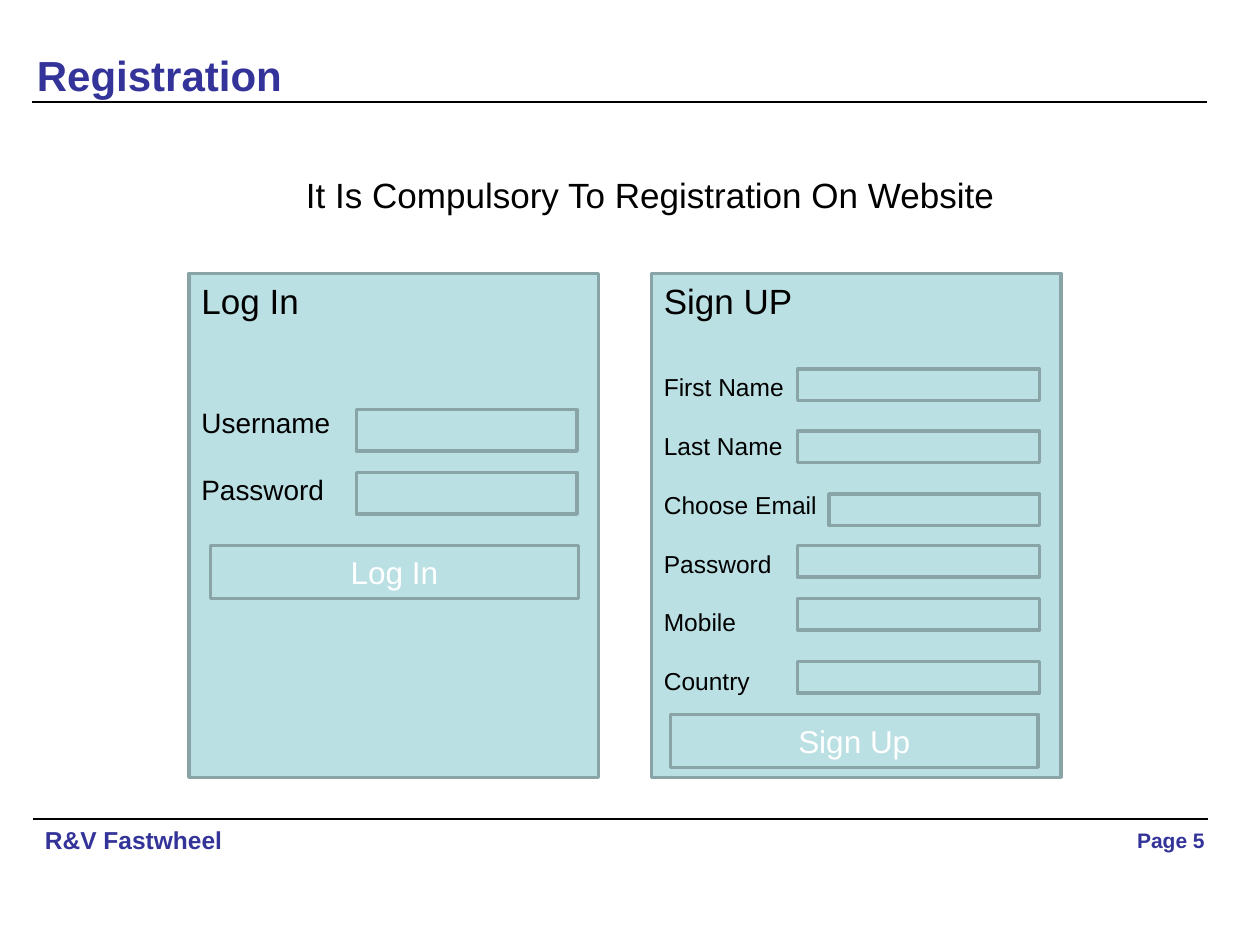
from lxml.etree import SubElement
from pptx import Presentation
from pptx.dml.color import RGBColor
from pptx.enum.shapes import MSO_CONNECTOR, MSO_SHAPE
from pptx.enum.text import MSO_ANCHOR, PP_ALIGN
from pptx.oxml.ns import qn
from pptx.util import Inches, Pt

INK = {"text": "000000", "brand": "333399", "panel": "BBE0E3",
       "edge": "89A4A7", "label": "FFFFFF"}

deck = Presentation()
deck.slide_width, deck.slide_height = Inches(10), Inches(7.5)
slide = deck.slides.add_slide(deck.slide_layouts[5])
shapes = slide.shapes


def write(frame, rows, ink="text", bold=False, align=PP_ALIGN.LEFT):
    """Fill a frame with rows of (text, size, space before)."""
    for i, (text, size, gap) in enumerate(rows):
        para = frame.paragraphs[0] if i == 0 else frame.add_paragraph()
        para.alignment = align
        para.line_spacing = Pt(size * 1.2)
        para.space_before = Pt(gap)
        run = para.add_run()
        run.text = text
        run.font.name, run.font.size, run.font.bold = "Arial", Pt(size), bold
        run.font.color.rgb = RGBColor.from_string(INK[ink])


def block(x, y, w, h):
    """Add a bordered rectangle in the form colours."""
    rect = shapes.add_shape(MSO_SHAPE.RECTANGLE, *map(Inches, (x, y, w, h)))
    rect.shadow.inherit = False
    rect.fill.solid()
    rect.fill.fore_color.rgb = RGBColor.from_string(INK["panel"])
    rect.line.color.rgb = RGBColor.from_string(INK["edge"])
    rect.line.width = Pt(2)
    return rect


# Title
title = shapes.title
title.left, title.top, title.width, title.height = map(Inches, (0.17, 0.3, 2.19, 0.58))
title.text_frame.vertical_anchor = MSO_ANCHOR.MIDDLE
write(title.text_frame, [("Registration", 24, 0)], "brand", True, PP_ALIGN.CENTER)

# Rules under the title and above the footer
for x, y in ((0.25, 0.81), (0.26, 6.5)):
    rule = shapes.add_connector(MSO_CONNECTOR.STRAIGHT, Inches(x), Inches(y),
                                Inches(x + 9.33), Inches(y))
    rule.line.color.rgb = RGBColor.from_string(INK["text"])
    rule.line.width = Pt(0.75)
    SubElement(rule._element.spPr, qn("a:effectLst"))

# Message and footer
for x, y, w, h, text, size, ink, align in (
        (2.33, 1.33, 5.92, 0.44, "It Is Compulsory To Registration On Website",
         20, "text", PP_ALIGN.LEFT),
        (0.12, 6.5, 1.88, 0.34, "R&V Fastwheel", 14, "brand", PP_ALIGN.CENTER),
        (8.82, 6.52, 0.84, 0.3, "Page 5", 12, "brand", PP_ALIGN.RIGHT)):
    box = shapes.add_textbox(*map(Inches, (x, y, w, h)))
    box.text_frame.word_wrap = True
    write(box.text_frame, [(text, size, 0)], ink, ink == "brand", align)

# Form panels: left, text height, heading, labels, label size, first gap
forms = (
    (1.5, 1.9, "Log In", ("Username", "Password"), 16, 48),
    (5.17, 3.4, "Sign UP", ("First Name", "Last Name", "Choose Email",
                            "Password", "Mobile", "Country"), 14, 28.8),
)
for x, h, head, names, size, gap in forms:
    block(x, 2.17, 3.25, 4)
    box = shapes.add_textbox(*map(Inches, (x, 2.17, 3.25, h)))
    box.text_frame.word_wrap = True
    rows = [(head, 20, 0)]
    rows += [(name, size, size * 1.2 if i else gap) for i, name in enumerate(names)]
    write(box.text_frame, rows)

# Entry fields, flush right in each panel
for y in (3.25, 3.75):
    block(2.83, y, 1.75, 0.33)
for y in (2.93, 3.42, 3.92, 4.33, 4.75, 5.25):
    w = 1.67 if y == 3.92 else 1.92
    block(8.25 - w, y, w, 0.25)

# Buttons
for x, y, text in ((1.67, 4.33, "Log In"), (5.32, 5.67, "Sign Up")):
    key = block(x, y, 2.92, 0.42)
    key.text_frame.vertical_anchor = MSO_ANCHOR.MIDDLE
    write(key.text_frame, [(text, 18, 0)], "label", align=PP_ALIGN.CENTER)

deck.save("out.pptx")
